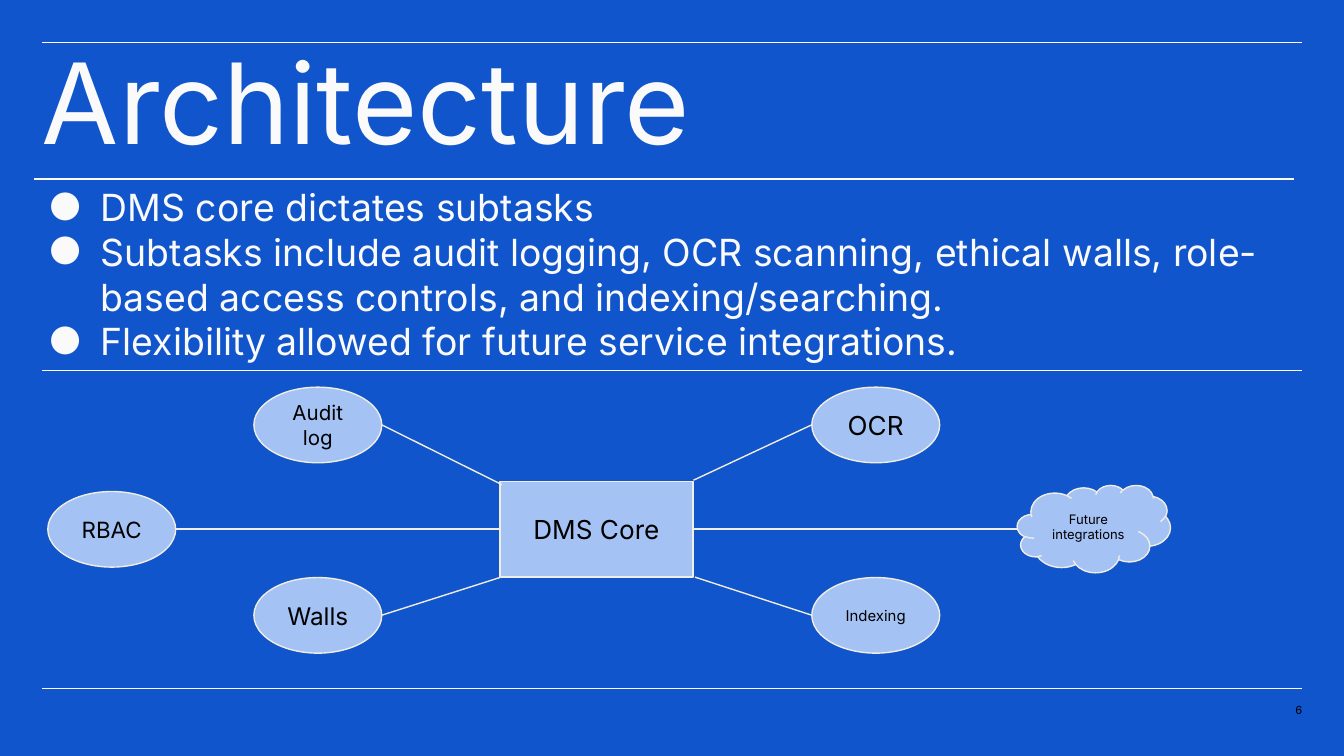
from dataclasses import dataclass

from lxml import etree
from pptx import Presentation
from pptx.dml.color import RGBColor
from pptx.enum import shapes as sh, text as tx
from pptx.oxml.ns import qn
from pptx.util import Pt

FONT = "Inter"
HEX = {"back": "1155CC", "light": "FAFAFA", "node": "A4C2F4",
       "edge": "F0EEE2", "dark": "000000"}
OVAL = sh.MSO_SHAPE.OVAL
LEFT, MID, RIGHT = tx.PP_ALIGN.LEFT, tx.PP_ALIGN.CENTER, tx.PP_ALIGN.RIGHT


@dataclass
class Box:
    x: float
    y: float
    w: float
    h: float

    def place(self) -> tuple:
        return Pt(self.x), Pt(self.y), Pt(self.w), Pt(self.h)


@dataclass
class Node:
    text: str
    size: int
    box: Box
    kind: int = OVAL


@dataclass
class Line:
    x1: float
    y1: float
    x2: float
    y2: float
    color: str = "edge"


def tint(name: str) -> RGBColor:
    return RGBColor.from_string(HEX[name])


def style(frame, text: str, size: int, color: str, align, pad: float) -> None:
    """Fill a text frame and give all its runs one look."""
    frame.word_wrap = True
    frame.margin_left = frame.margin_right = Pt(pad)
    frame.margin_top = frame.margin_bottom = Pt(pad)
    frame.text = text
    for para in frame.paragraphs:
        para.alignment = align
        for run in para.runs:
            run.font.size = Pt(size)
            run.font.name = FONT
            run.font.color.rgb = tint(color)


def add_text(slide, box: Box, text: str, size: int, color: str, align=LEFT):
    frame = slide.shapes.add_textbox(*box.place()).text_frame
    style(frame, text, size, color, align, 0)
    return frame


def add_dots(frame, left: float, hang: float) -> None:
    """Turn every paragraph into a bullet with a hanging indent."""
    for para in frame.paragraphs:
        props = para._p.get_or_add_pPr()
        props.set("marL", str(Pt(left)))
        props.set("indent", str(-Pt(hang)))
        tone = etree.SubElement(props, qn("a:buClr"))
        etree.SubElement(tone, qn("a:srgbClr"), val=HEX["light"])
        etree.SubElement(props, qn("a:buFont"), typeface=FONT)
        etree.SubElement(props, qn("a:buChar"), char="●")


def add_node(slide, node: Node) -> None:
    shape = slide.shapes.add_shape(node.kind, *node.box.place())
    shape.shadow.inherit = False
    shape.fill.solid()
    shape.fill.fore_color.rgb = tint("node")
    shape.line.color.rgb = tint("edge")
    shape.line.width = Pt(0.75)
    style(shape.text_frame, node.text, node.size, "dark", MID, 7.2)
    shape.text_frame.vertical_anchor = tx.MSO_ANCHOR.MIDDLE


def add_line(slide, line: Line) -> None:
    link = slide.shapes.add_connector(
        sh.MSO_CONNECTOR.STRAIGHT,
        Pt(line.x1), Pt(line.y1), Pt(line.x2), Pt(line.y2))
    link.line.color.rgb = tint(line.color)
    link.line.width = Pt(0.75)
    etree.SubElement(link._element.spPr, qn("a:effectLst"))


def oval(x: float, y: float) -> Box:
    return Box(x, y, 68.5, 40.5)


WEST, EAST = 136, 434.9
HIGH, LOW = 207.4, 309.4
CORE = Box(267.8, 257.9, 103.5, 51.3)
AXIS = 283.5

NODES = [
    Node("DMS Core", 14, CORE, sh.MSO_SHAPE.RECTANGLE),
    Node("Audit log", 11, oval(WEST, HIGH)),
    Node("Walls", 13, oval(WEST, LOW)),
    Node("OCR", 14, oval(EAST, HIGH)),
    Node("Indexing", 8, oval(EAST, LOW)),
    Node("RBAC", 12, oval(25.6, 263.3)),
    Node("Future integrations", 7, Box(545, 259.9, 82.1, 46.8),
         sh.MSO_SHAPE.CLOUD),
]

LINKS = [
    Line(204.5, 227.6, 269, 259.7),
    Line(94.1, AXIS, CORE.x, AXIS),
    Line(204.5, 329.6, 268.5, 309.2),
    Line(EAST, 227.6, 371.5, 257.3),
    Line(545.6, AXIS, 371.3, AXIS),
    Line(EAST, 329.6, 372.3, 309.2),
]

RULES = [Line(x, y, x + 675, y, "light")
         for x, y in [(22.5, 22.8), (18, 95.9), (22.5, 198.5), (22.5, 368.8)]]

POINTS = [
    "DMS core dictates subtasks",
    "Subtasks include audit logging, OCR scanning, ethical walls, "
    "role-based access controls, and indexing/searching.",
    "Flexibility allowed for future service integrations.",
]


def main() -> None:
    deck = Presentation()
    deck.slide_width, deck.slide_height = Pt(720), Pt(405)
    slide = deck.slides.add_slide(deck.slide_layouts[6])
    slide.background.fill.solid()
    slide.background.fill.fore_color.rgb = tint("back")

    title = add_text(slide, Box(22.5, 37.4, 446.4, 72),
                     "Architecture", 60, "light")
    title.paragraphs[0].line_spacing = 0.7
    add_text(slide, Box(654.5, 376.6, 43.2, 5.8), "6", 6, "dark", RIGHT)
    for line in RULES:
        add_line(slide, line)
    body = add_text(slide, Box(18, 98.6, 675, 109.4),
                    "\n".join(POINTS), 20, "light")
    add_dots(body, 36, 28)
    for node in NODES:
        add_node(slide, node)
    for line in LINKS:
        add_line(slide, line)
    deck.save("out.pptx")


if __name__ == "__main__":
    main()
